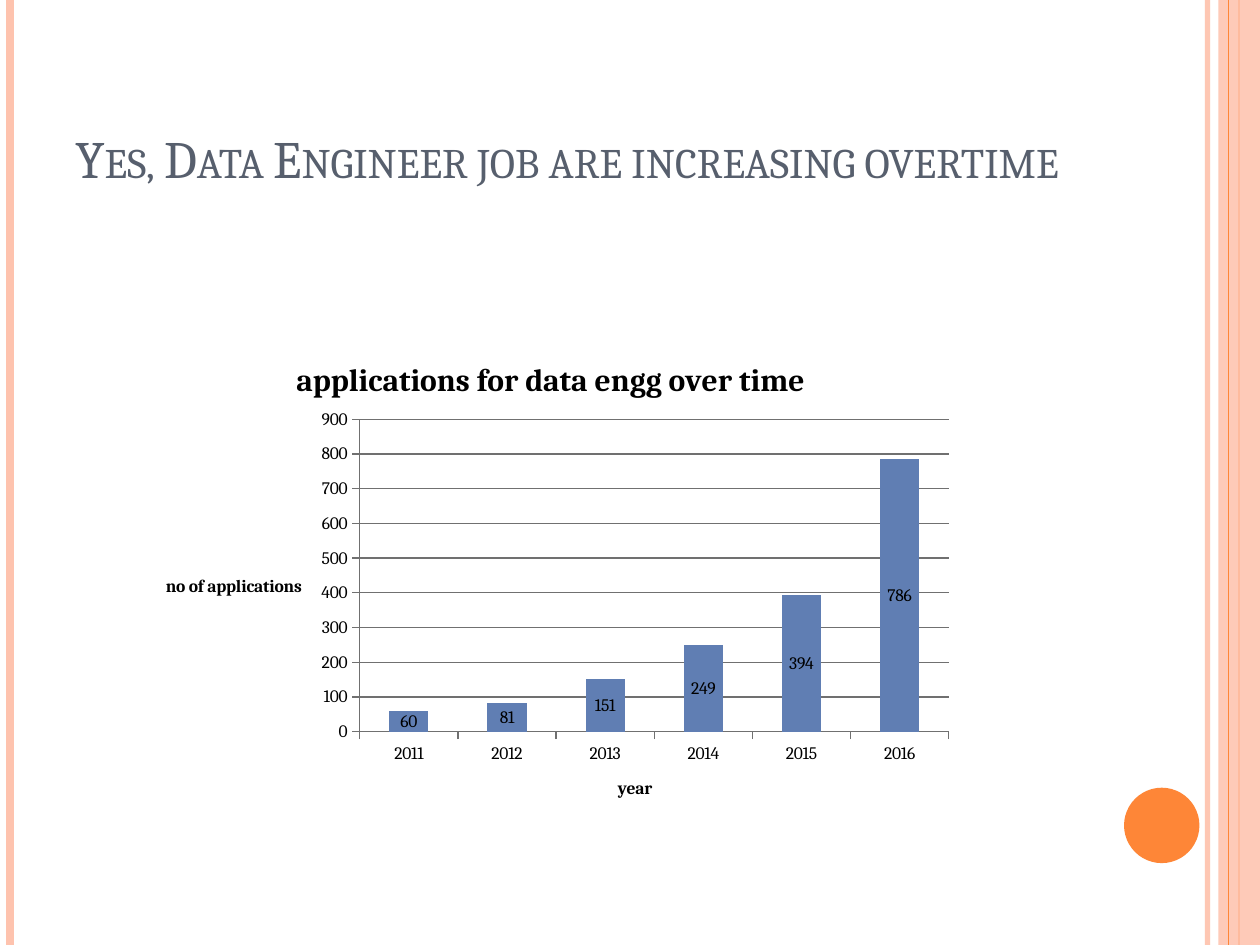
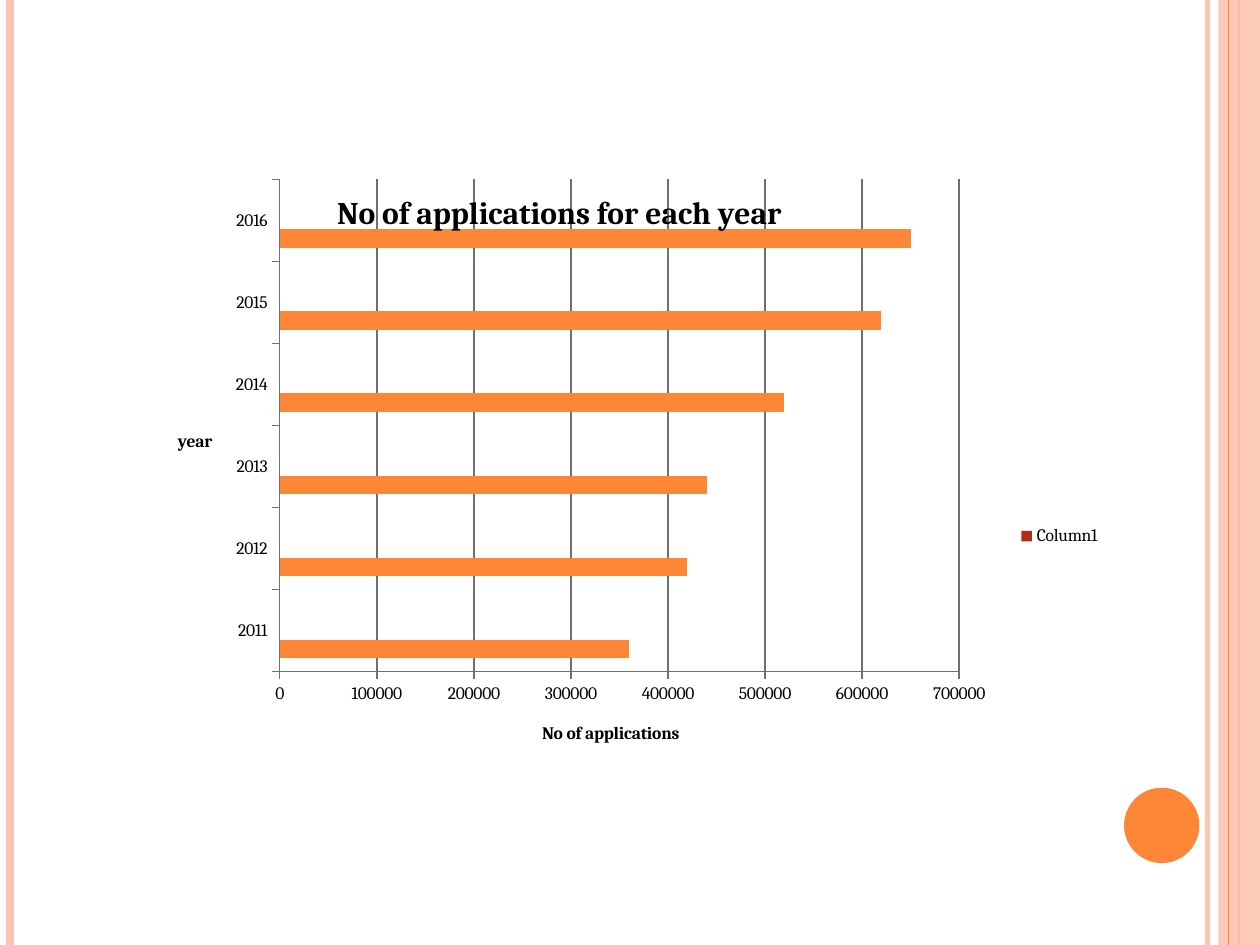
import pptx
import pptx.chart.data
import pptx.dml.color
import pptx.enum.chart
import pptx.enum.shapes
import pptx.enum.text
import pptx.oxml.ns
import pptx.oxml.xmlchemy
import pptx.util

Cm = pptx.util.Cm
Pt = pptx.util.Pt
RGBColor = pptx.dml.color.RGBColor
qn = pptx.oxml.ns.qn
OxmlElement = pptx.oxml.xmlchemy.OxmlElement
ChartType = pptx.enum.chart.XL_CHART_TYPE

ORANGE = RGBColor(0xFE, 0x86, 0x37)
PEACH = RGBColor(0xFE, 0xC3, 0xAE)
SLATE = RGBColor(0x57, 0x5F, 0x6D)
BLUE = RGBColor(0x60, 0x7E, 0xB3)
LIGHT_BLUE = RGBColor(0x75, 0x98, 0xD9)
RED = RGBColor(0xB3, 0x2C, 0x16)
GRAY = RGBColor(0x70, 0x70, 0x70)
BLACK = RGBColor(0, 0, 0)

FONT = "Cambria"
SLIDE_WIDTH = Cm(25.4)
SLIDE_HEIGHT = Cm(19.05)
YEARS = ["2011", "2012", "2013", "2014", "2015", "2016"]
NO_VALUES = [None] * len(YEARS)


def write_text(text_frame, text, size=10, color=BLACK, bold=False, small_caps=False):
    run = text_frame.paragraphs[0].add_run()
    run.text = text
    run.font.name = FONT
    run.font.size = Pt(size)
    run.font.bold = bold
    run.font.color.rgb = color
    if small_caps:
        run.font._element.set("cap", "small")


def append_setting(parent, tag, value):
    """Append an XML element that holds one val attribute."""
    setting = OxmlElement(tag)
    setting.set("val", str(value))
    parent.append(setting)


def set_opacity(color_parent, percent):
    color = next(color_parent.iter(qn("a:srgbClr")))
    append_setting(color, "a:alpha", percent * 1000)


def add_stripe(slide, x, color, width, opacity=100):
    """Draw a vertical line over the full slide height."""
    line = slide.shapes.add_connector(
        pptx.enum.shapes.MSO_CONNECTOR.STRAIGHT, x, 0, x, SLIDE_HEIGHT
    )
    line.line.color.rgb = color
    line.line.width = Pt(width)
    if opacity < 100:
        set_opacity(line._element.spPr, opacity)
    line._element.spPr.append(OxmlElement("a:effectLst"))


def add_filled_shape(slide, kind, left, top, width, height, color, opacity=100):
    shape = slide.shapes.add_shape(kind, left, top, width, height)
    shape.shadow.inherit = False
    shape.fill.solid()
    shape.fill.fore_color.rgb = color
    shape.line.fill.background()
    if opacity < 100:
        set_opacity(shape._element.spPr, opacity)


def add_decorated_slide(presentation):
    """Add a blank slide with the side stripes, right band and circle."""
    slide = presentation.slides.add_slide(presentation.slide_layouts[6])
    shape_kinds = pptx.enum.shapes.MSO_SHAPE
    add_stripe(slide, Cm(24.34), PEACH, 3, opacity=93)
    add_stripe(slide, Cm(0.21), PEACH, 4.5)
    add_stripe(slide, Cm(24.98), ORANGE, 1.5)
    band_left = Cm(24.56)
    add_filled_shape(slide, shape_kinds.RECTANGLE, band_left, 0,
                     SLIDE_WIDTH - band_left, SLIDE_HEIGHT, PEACH, opacity=87)
    add_stripe(slide, Cm(24.76), ORANGE, 0.75)
    add_filled_shape(slide, shape_kinds.OVAL, Cm(22.66), Cm(15.88),
                     Cm(1.52), Cm(1.52), ORANGE)
    return slide


def add_title(slide, text):
    box = slide.shapes.add_textbox(Cm(1.27), Cm(0.76), Cm(20.75), Cm(3.18))
    box.text_frame.word_wrap = True
    box.text_frame.vertical_anchor = pptx.enum.text.MSO_ANCHOR.BOTTOM
    write_text(box.text_frame, text, size=30, color=SLATE, small_caps=True)


def set_layout(element, index, **values):
    """Give a chart part a manual layout, in fractions of the chart area."""
    for old_layout in element.findall(qn("c:layout")):
        element.remove(old_layout)
    layout = OxmlElement("c:layout")
    manual = OxmlElement("c:manualLayout")
    layout.append(manual)
    for name, value in values.items():
        append_setting(manual, f"c:{name}", value)
    element.insert(index, layout)


def place_plot(chart, left, top, width, height):
    set_layout(chart._chartSpace.chart.plotArea, 0, layoutTarget="inner",
               xMode="edge", yMode="edge", x=left, y=top, w=width, h=height)


def format_axis(axis, title):
    axis.has_title = True
    text_frame = axis.axis_title.text_frame
    write_text(text_frame, title, bold=True)
    body = text_frame._txBody.bodyPr
    body.set("rot", "0")
    body.set("vert", "horz")
    axis.major_tick_mark = pptx.enum.chart.XL_TICK_MARK.OUTSIDE
    axis.format.line.color.rgb = GRAY
    axis.format.line.width = Pt(0.75)


def add_year_chart(slide, kind, place, title, value_title, series_values, colors):
    """Add a bar or column chart with one category per year."""
    data = pptx.chart.data.CategoryChartData()
    data.categories = YEARS
    for name, values in series_values.items():
        data.add_series(name, values)
    chart = slide.shapes.add_chart(kind, *place, data).chart
    chart.font.name = FONT
    chart.font.size = Pt(10)
    chart.font.color.rgb = BLACK
    chart.has_legend = False
    chart.has_title = True
    write_text(chart.chart_title.text_frame, title, size=18, bold=True)
    format_axis(chart.category_axis, "year")
    format_axis(chart.value_axis, value_title)
    chart.value_axis.has_major_gridlines = True
    gridlines = chart.value_axis.major_gridlines.format.line
    gridlines.color.rgb = GRAY
    gridlines.width = Pt(0.75)
    plot = chart.plots[0]
    plot.vary_by_categories = False
    plot.gap_width = 150
    for series, color in zip(plot.series, colors):
        series.format.fill.solid()
        series.format.fill.fore_color.rgb = color
    return chart


def add_legend(chart, hidden_entries):
    chart.has_legend = True
    chart.legend.position = pptx.enum.chart.XL_LEGEND_POSITION.RIGHT
    chart.legend.include_in_layout = False
    position = chart.legend._element.find(qn("c:legendPos"))
    for entry_index in reversed(hidden_entries):
        entry = OxmlElement("c:legendEntry")
        append_setting(entry, "c:idx", entry_index)
        append_setting(entry, "c:delete", 1)
        position.addnext(entry)


def add_engineer_slide(presentation):
    slide = add_decorated_slide(presentation)
    add_title(slide, "Yes, Data Engineer job are increasing overtime")
    chart = add_year_chart(
        slide, ChartType.COLUMN_STACKED,
        (Cm(2.74), Cm(6.78), Cm(16.72), Cm(9.84)),
        "applications for data engg over time", "no of applications",
        {"Series 1": [60, 81, 151, 249, 394, 786],
         "Series 2": NO_VALUES, "Series 3": NO_VALUES},
        (BLUE, LIGHT_BLUE, RED),
    )
    place_plot(chart, 0.27, 0.17, 0.71, 0.64)
    plot = chart.plots[0]
    plot.overlap = 100
    plot.has_data_labels = True
    plot.data_labels.show_value = True
    plot.data_labels.position = pptx.enum.chart.XL_LABEL_POSITION.CENTER


def add_yearly_slide(presentation):
    slide = add_decorated_slide(presentation)
    chart = add_year_chart(
        slide, ChartType.BAR_CLUSTERED,
        (Cm(1.7), Cm(3.6), Cm(20.75), Cm(14.4)),
        "No of applications for each year", "No of applications",
        {"No of applications": [360000, 420000, 440000, 520000, 620000, 650000],
         "Series 2": NO_VALUES, "Column1": NO_VALUES},
        (ORANGE, LIGHT_BLUE, RED),
    )
    place_plot(chart, 0.19, 0, 0.66, 0.69)
    set_layout(chart.chart_title._element, 1,
               xMode="edge", yMode="edge", x=0.24, y=0.01)
    chart.value_axis.maximum_scale = 700000
    chart.value_axis.major_unit = 100000
    add_legend(chart, hidden_entries=[1, 2])


def main():
    presentation = pptx.Presentation()
    presentation.slide_width = SLIDE_WIDTH
    presentation.slide_height = SLIDE_HEIGHT
    add_engineer_slide(presentation)
    add_yearly_slide(presentation)
    presentation.save("out.pptx")


if __name__ == "__main__":
    main()
